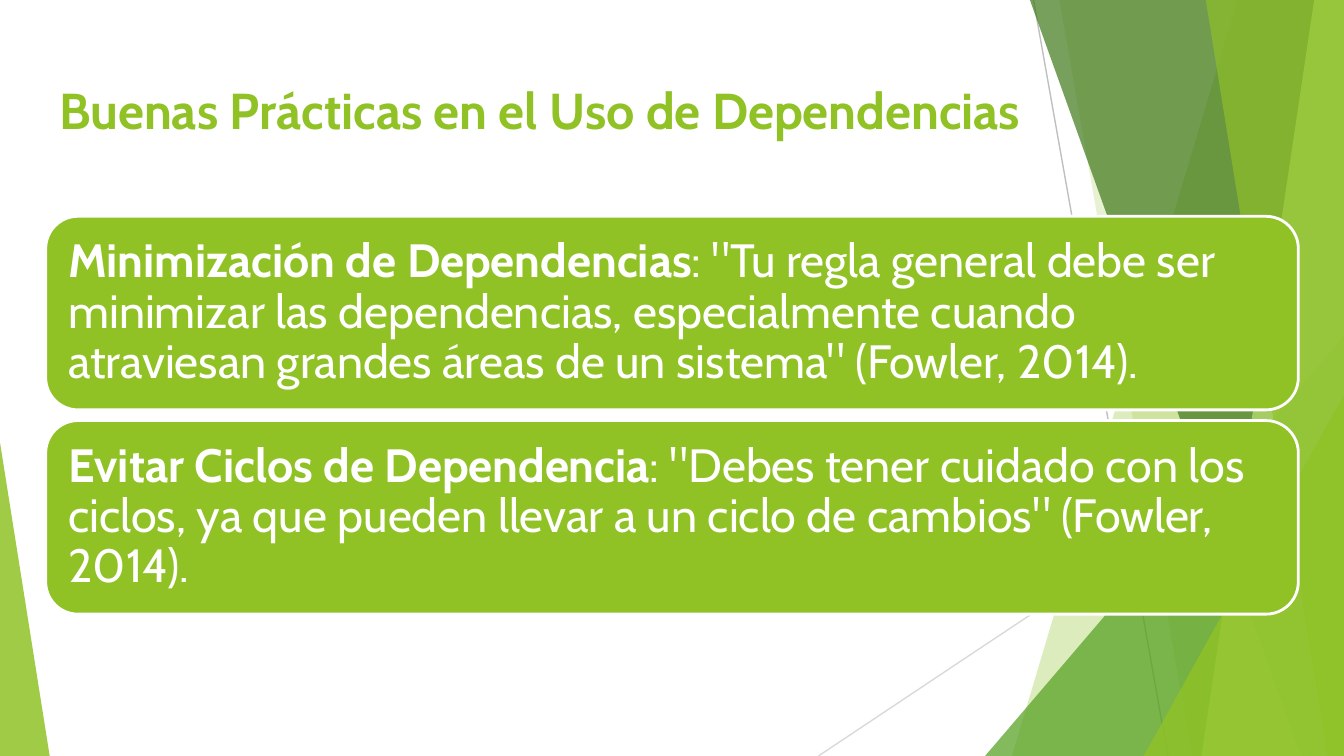
"""Build the slide on good practices in the use of dependencies."""
from dataclasses import dataclass

from lxml import etree
from pptx import Presentation
from pptx.dml.color import RGBColor
from pptx.enum.shapes import MSO_CONNECTOR, MSO_SHAPE
from pptx.enum.text import MSO_ANCHOR, MSO_AUTO_SIZE, PP_ALIGN
from pptx.oxml.ns import qn
from pptx.util import Inches, Pt

STRAIGHT = MSO_CONNECTOR.STRAIGHT
TRIANGLE, ROUNDED = MSO_SHAPE.ISOSCELES_TRIANGLE, MSO_SHAPE.ROUNDED_RECTANGLE
TOP, MIDDLE = MSO_ANCHOR.TOP, MSO_ANCHOR.MIDDLE
LEFT, NO_FIT = PP_ALIGN.LEFT, MSO_AUTO_SIZE.NONE
COLORS = {
    "green": "90C226",
    "leaf": "54A021",
    "forest": "3F7819",
    "lime": "C0E474",
    "gray": "BFBFBF",
    "silver": "D9D9D9",
    "white": "FFFFFF",
}
FONT = "Cabin"
WIDTH = 10
HEIGHT = WIDTH * 9 / 16
BAND_TOP = -0.01
MARGIN, CARD_WIDTH = 0.34, 9.32
CARD_TOP, CARD_HEIGHT, CARD_PITCH = 1.61, 1.44, 1.52


@dataclass
class Ray:
    start: tuple[float, float]
    end: tuple[float, float]
    color: str


@dataclass
class Band:
    top_x: float
    bottom_x: float
    color: str
    opacity: int


@dataclass
class Wedge:
    left: float
    top: float
    width: float
    apex: float
    color: str
    opacity: int


@dataclass
class Practice:
    name: str
    advice: str


DECORATIONS = [
    Ray((7.69, 0), (8.69, HEIGHT), "gray"),
    Ray((WIDTH, 3.02), (6.09, HEIGHT), "silver"),
    Band(9.21, 7.53, "green", 30),
    Band(7.88, 8.87, "green", 20),
    Wedge(7.33, 2.5, 2.67, 1, "leaf", 72),
    Band(7.66, 9.68, "forest", 70),
    Band(9.78, 8.94, "lime", 70),
    Band(8.97, 9.88, "green", 65),
    Wedge(8.51, 2.94, 1.49, 1, "green", 80),
    Wedge(0, 3.29, 0.37, 0, "green", 85),
]
PRACTICES = [
    Practice(
        "Minimización de Dependencias",
        ': "Tu regla general debe ser minimizar las dependencias, especialmente '
        'cuando atraviesan grandes áreas de un sistema" (Fowler, 2014).',
    ),
    Practice(
        "Evitar Ciclos de Dependencia",
        ': "Debes tener cuidado con los ciclos, ya que pueden llevar a un ciclo '
        'de cambios" (Fowler, 2014).',
    ),
]


def rgb(color: str) -> RGBColor:
    return RGBColor.from_string(COLORS[color])


def paint(shape, color: str, opacity: int = 100) -> None:
    shape.shadow.inherit = False
    shape.fill.solid()
    shape.fill.fore_color.rgb = rgb(color)
    shape.line.fill.background()
    if opacity < 100:
        tint = shape.element.spPr.find(f"{qn('a:solidFill')}/{qn('a:srgbClr')}")
        etree.SubElement(tint, qn("a:alpha"), val=str(opacity * 1000))


def write(shape, lead: str, rest: str = "", *, size: float, color: str,
          anchor=MIDDLE, spacing: float = 1.0) -> None:
    frame = shape.text_frame
    frame.word_wrap = True
    frame.auto_size = NO_FIT
    frame.vertical_anchor = anchor
    frame.margin_left = frame.margin_right = Inches(0.1)
    frame.margin_top = frame.margin_bottom = Inches(0.1)
    paragraph = frame.paragraphs[0]
    paragraph.alignment = LEFT
    paragraph.line_spacing = spacing
    for words, bold in ((lead, True), (rest, False)):
        if words:
            run = paragraph.add_run()
            run.text = words
            run.font.name = FONT
            run.font.size = Pt(size)
            run.font.bold = bold
            run.font.color.rgb = rgb(color)


def draw_ray(shapes, ray: Ray) -> None:
    connector = shapes.add_connector(STRAIGHT, *map(Inches, ray.start + ray.end))
    connector.line.color.rgb = rgb(ray.color)
    connector.line.width = Pt(0.75)
    etree.SubElement(connector.element.spPr, qn("a:effectLst"))


def draw_band(shapes, band: Band) -> None:
    outline = shapes.build_freeform(Inches(band.top_x), Inches(BAND_TOP))
    corners = [(WIDTH, BAND_TOP), (WIDTH, HEIGHT), (band.bottom_x, HEIGHT)]
    outline.add_line_segments([(Inches(x), Inches(y)) for x, y in corners])
    paint(outline.convert_to_shape(), band.color, band.opacity)


def draw_wedge(shapes, wedge: Wedge) -> None:
    triangle = shapes.add_shape(
        TRIANGLE, Inches(wedge.left), Inches(wedge.top),
        Inches(wedge.width), Inches(HEIGHT - wedge.top))
    triangle.adjustments[0] = wedge.apex
    paint(triangle, wedge.color, wedge.opacity)


def draw_practice(shapes, practice: Practice, top: float) -> None:
    card = shapes.add_shape(
        ROUNDED, Inches(MARGIN), Inches(top), Inches(CARD_WIDTH), Inches(CARD_HEIGHT))
    paint(card, "green")
    card.line.color.rgb = rgb("white")
    card.line.width = Pt(1.5)
    write(card, practice.name, practice.advice, size=25, color="white", spacing=0.9)


def place_title(shapes) -> None:
    title = shapes.title
    title.left, title.top = Inches(MARGIN), Inches(0.49)
    title.width, title.height = Inches(CARD_WIDTH), Inches(0.63)
    write(title, "Buenas Prácticas en el Uso de Dependencias",
          size=27, color="green", anchor=TOP)
    shapes.element.append(title.element)


def main() -> None:
    presentation = Presentation()
    presentation.slide_width = Inches(WIDTH)
    presentation.slide_height = Inches(HEIGHT)
    shapes = presentation.slides.add_slide(presentation.slide_layouts[5]).shapes
    painters = {Ray: draw_ray, Band: draw_band, Wedge: draw_wedge}
    for decoration in DECORATIONS:
        painters[type(decoration)](shapes, decoration)
    place_title(shapes)
    for row, practice in enumerate(PRACTICES):
        draw_practice(shapes, practice, CARD_TOP + row * CARD_PITCH)
    presentation.save("out.pptx")


if __name__ == "__main__":
    main()
